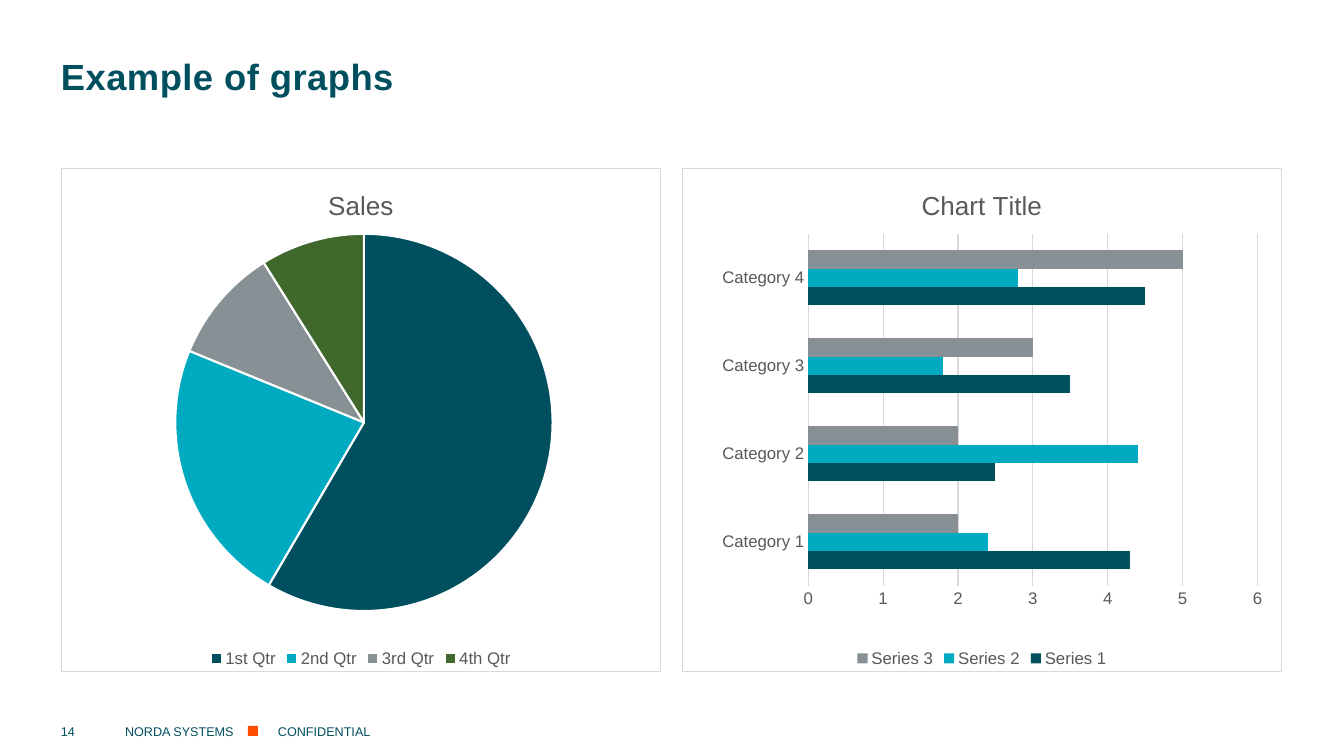
from pptx import Presentation
from pptx.chart.data import CategoryChartData
from pptx.dml.color import RGBColor
from pptx.enum.chart import XL_CHART_TYPE as ChartType, XL_LEGEND_POSITION as LegendPosition, XL_TICK_MARK as TickMark
from pptx.enum.shapes import MSO_SHAPE as Shape
from pptx.enum.text import MSO_ANCHOR as Anchor
from pptx.oxml import parse_xml
from pptx.oxml.ns import nsdecls, qn
from pptx.util import Pt

PETROL = RGBColor(0x00, 0x4F, 0x5F)
CYAN = RGBColor(0x00, 0xAB, 0xC1)
GREY = RGBColor(0x86, 0x90, 0x95)
GREEN = RGBColor(0x40, 0x68, 0x2C)
ORANGE = RGBColor(0xFF, 0x4E, 0x00)
WHITE = RGBColor(0xFF, 0xFF, 0xFF)
BLACK = RGBColor(0x00, 0x00, 0x00)
TEXT_GREY = RGBColor(0x59, 0x59, 0x59)
GRID_GREY = RGBColor(0xD9, 0xD9, 0xD9)
BORDER_GREY = RGBColor(0xD6, 0xDA, 0xDB)
PALETTE = [PETROL, CYAN, GREY, GREEN]
FONT = "Arial"

TITLE = "Example of graphs"
FOOTERS = [("14", 61, 42), ("NORDA SYSTEMS", 125, 109), ("CONFIDENTIAL", 278, 900)]
CHARTS = [
    {
        "type": ChartType.PIE,
        "title": "Sales",
        "categories": ["1st Qtr", "2nd Qtr", "3rd Qtr", "4th Qtr"],
        "series": {"Sales": [59, 23, 10, 9]},
        "plot": (0.19, 0.13, 0.63, 0.75),
    },
    {
        "type": ChartType.BAR_CLUSTERED,
        "title": "Chart Title",
        "categories": ["Category 1", "Category 2", "Category 3", "Category 4"],
        "series": {
            "Series 1": [4.3, 2.5, 3.5, 4.5],
            "Series 2": [2.4, 4.4, 1.8, 2.8],
            "Series 3": [2, 2, 3, 5],
        },
        "plot": (0.21, 0.13, 0.75, 0.7),
    },
]
CHART_LEFT, CHART_TOP, CHART_WIDTH, CHART_HEIGHT, CHART_GAP = 61, 168, 600, 504, 21


def px(length):
    return round(length * 914400 / 100.8)


def style_font(font, size, color, bold=False):
    font.name = FONT
    font.size = Pt(size)
    font.bold = bold
    font.color.rgb = color


def add_text(slide, text, box, size, anchor, margins=(0, 0), bold=False):
    text_box = slide.shapes.add_textbox(*map(px, box))
    frame = text_box.text_frame
    frame.word_wrap = True
    frame.vertical_anchor = anchor
    frame.margin_left = frame.margin_right = 0
    frame.margin_top, frame.margin_bottom = map(px, margins)
    frame.text = text
    paragraph = frame.paragraphs[0]
    style_font(paragraph.runs[0].font, size, PETROL, bold)
    return paragraph


def set_plot_layout(chart, fractions):
    plot_area = chart.element.find(qn("c:chart")).find(qn("c:plotArea"))
    for layout in plot_area.findall(qn("c:layout")):
        plot_area.remove(layout)
    places = "".join(f'<c:{tag} val="{value}"/>' for tag, value in zip("xywh", fractions))
    plot_area.insert(0, parse_xml(
        f'<c:layout {nsdecls("c")}><c:manualLayout><c:layoutTarget val="inner"/>'
        f'<c:xMode val="edge"/><c:yMode val="edge"/>{places}</c:manualLayout></c:layout>'))


def set_border(chart):
    chart.element.find(qn("c:chart")).addnext(parse_xml(
        f'<c:spPr {nsdecls("c", "a")}><a:noFill/><a:ln w="{Pt(0.75)}"><a:solidFill>'
        f'<a:srgbClr val="{BORDER_GREY}"/></a:solidFill></a:ln></c:spPr>'))


def fill_solid(part, color):
    part.format.fill.solid()
    part.format.fill.fore_color.rgb = color


def style_pie(chart):
    series = chart.plots[0].series[0]
    for index, color in enumerate(PALETTE):
        point = series.points[index]
        fill_solid(point, color)
        point.format.line.color.rgb = WHITE
        point.format.line.width = Pt(1.5)


def style_bars(chart):
    plot = chart.plots[0]
    plot.vary_by_categories = False
    plot.gap_width = 182
    for series, color in zip(plot.series, PALETTE):
        fill_solid(series, color)
    category_axis, value_axis = chart.category_axis, chart.value_axis
    for axis in (category_axis, value_axis):
        axis.major_tick_mark = axis.minor_tick_mark = TickMark.NONE
        style_font(axis.tick_labels.font, 12, TEXT_GREY)
    value_axis.minimum_scale, value_axis.maximum_scale, value_axis.major_unit = 0, 6, 1
    value_axis.format.line.fill.background()
    value_axis.has_major_gridlines = True
    for line in (category_axis.format.line, value_axis.major_gridlines.format.line):
        line.color.rgb = GRID_GREY
        line.width = Pt(0.75)


def add_chart(slide, content, left):
    data = CategoryChartData()
    data.categories = content["categories"]
    for name, values in content["series"].items():
        data.add_series(name, values)
    box = (left, CHART_TOP, CHART_WIDTH, CHART_HEIGHT)
    chart = slide.shapes.add_chart(content["type"], *map(px, box), data).chart
    style_font(chart.font, 10, BLACK)
    chart.has_title = True
    chart.chart_title.text_frame.text = content["title"]
    style_font(chart.chart_title.text_frame.paragraphs[0].runs[0].font, 18.6, TEXT_GREY)
    chart.has_legend = True
    chart.legend.position = LegendPosition.BOTTOM
    chart.legend.include_in_layout = False
    style_font(chart.legend.font, 12, TEXT_GREY)
    set_plot_layout(chart, content["plot"])
    set_border(chart)
    if content["type"] == ChartType.PIE:
        style_pie(chart)
    else:
        style_bars(chart)


def main():
    presentation = Presentation()
    presentation.slide_width, presentation.slide_height = px(1344), px(756)
    slide = presentation.slides.add_slide(presentation.slide_layouts[6])

    title = add_text(slide, TITLE, (61, 42, 1220, 105), 26, Anchor.TOP, (18, 12), True)
    title.line_spacing = Pt(27)
    title.runs[0].font._element.set("spc", "30")

    for index, content in enumerate(CHARTS):
        add_chart(slide, content, CHART_LEFT + index * (CHART_WIDTH + CHART_GAP))

    for text, left, width in FOOTERS:
        add_text(slide, text, (left, 718, width, 21), 9, Anchor.BOTTOM)

    square = slide.shapes.add_shape(Shape.RECTANGLE, *map(px, (248, 726, 10, 10)))
    square.shadow.inherit = False
    square.fill.solid()
    square.fill.fore_color.rgb = ORANGE
    square.line.fill.background()

    presentation.save("out.pptx")


if __name__ == "__main__":
    main()
